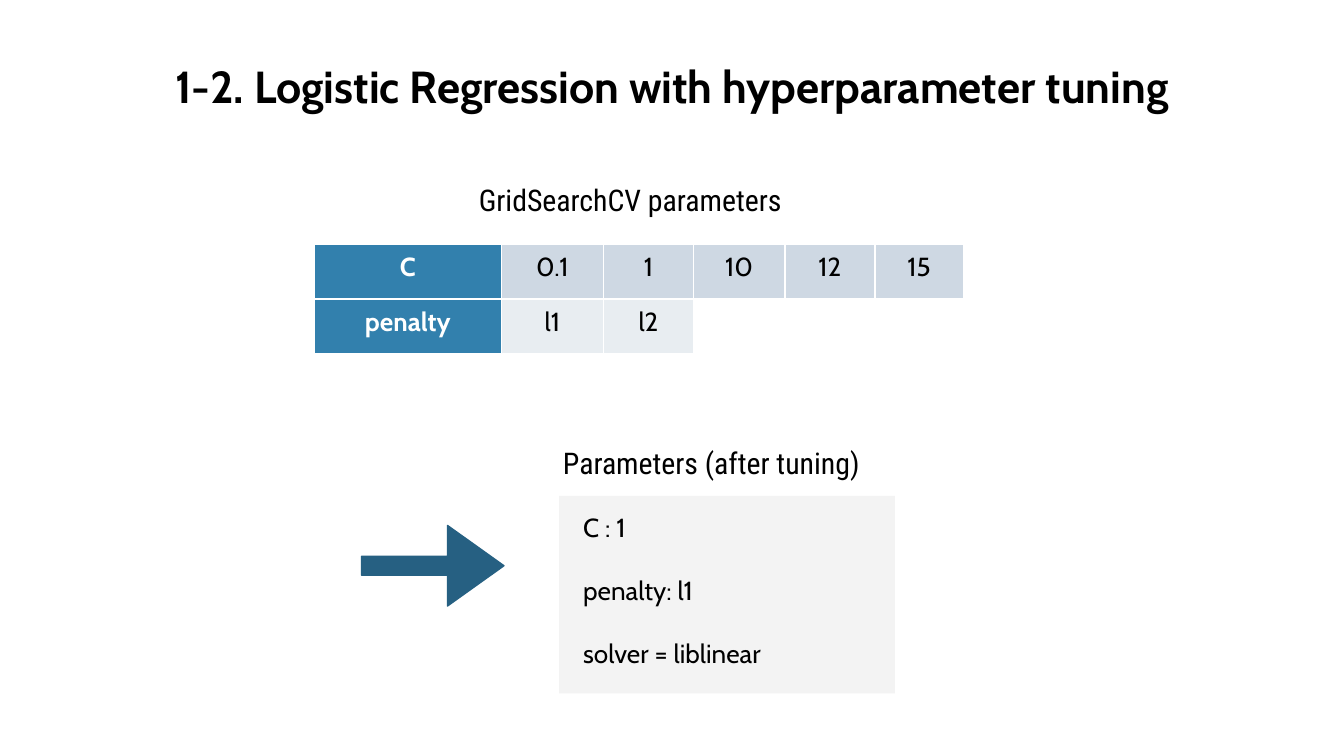
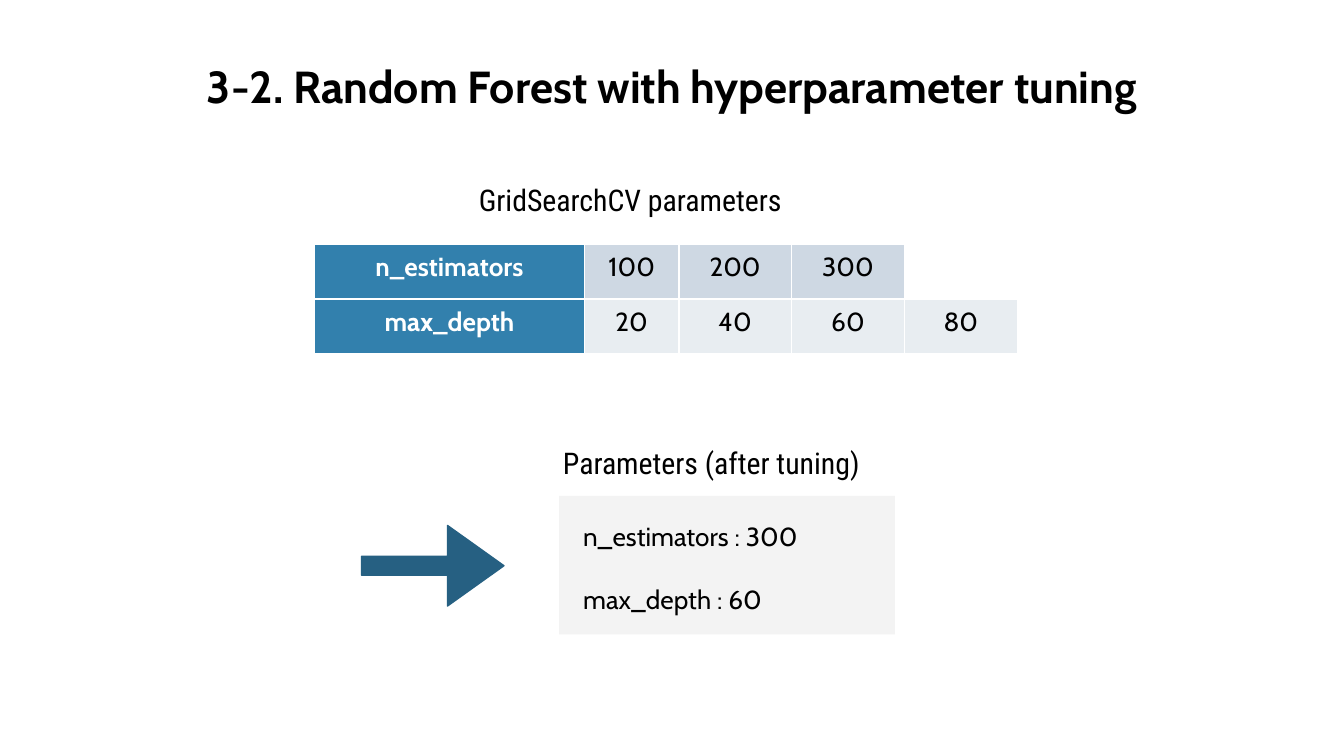
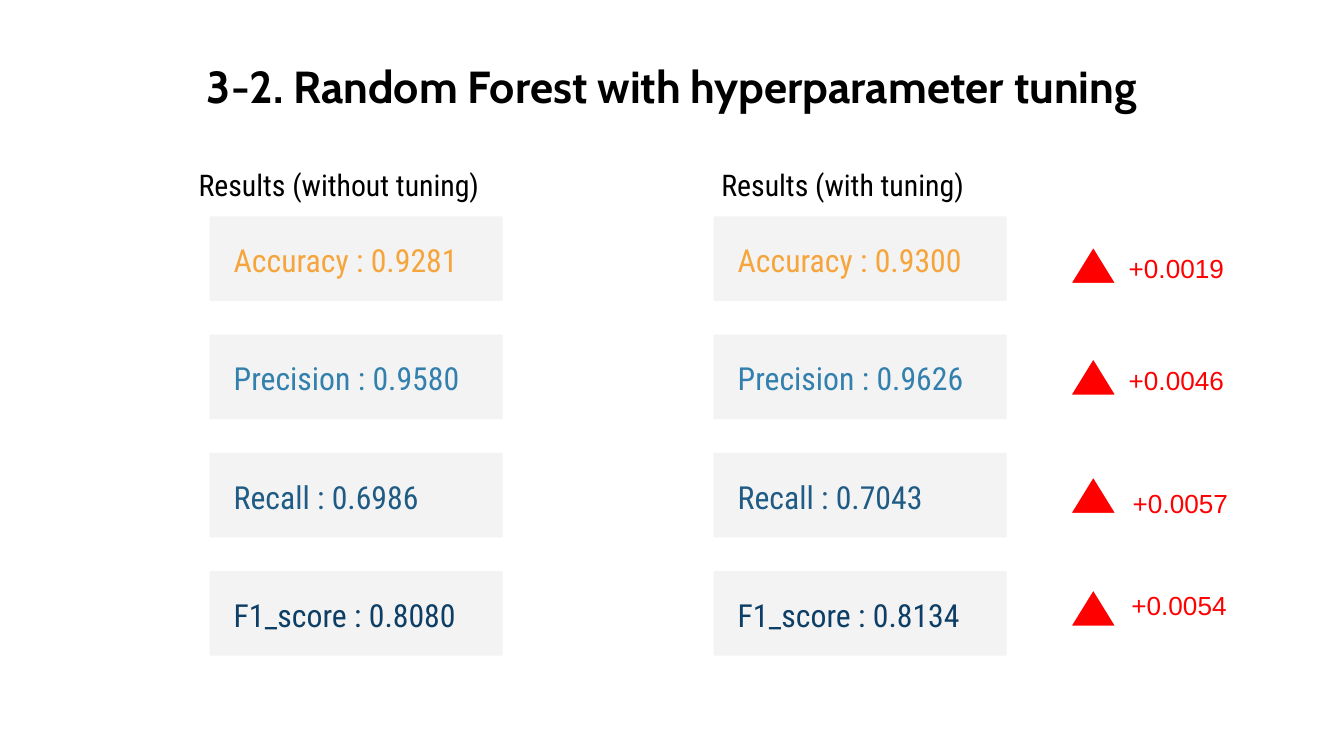
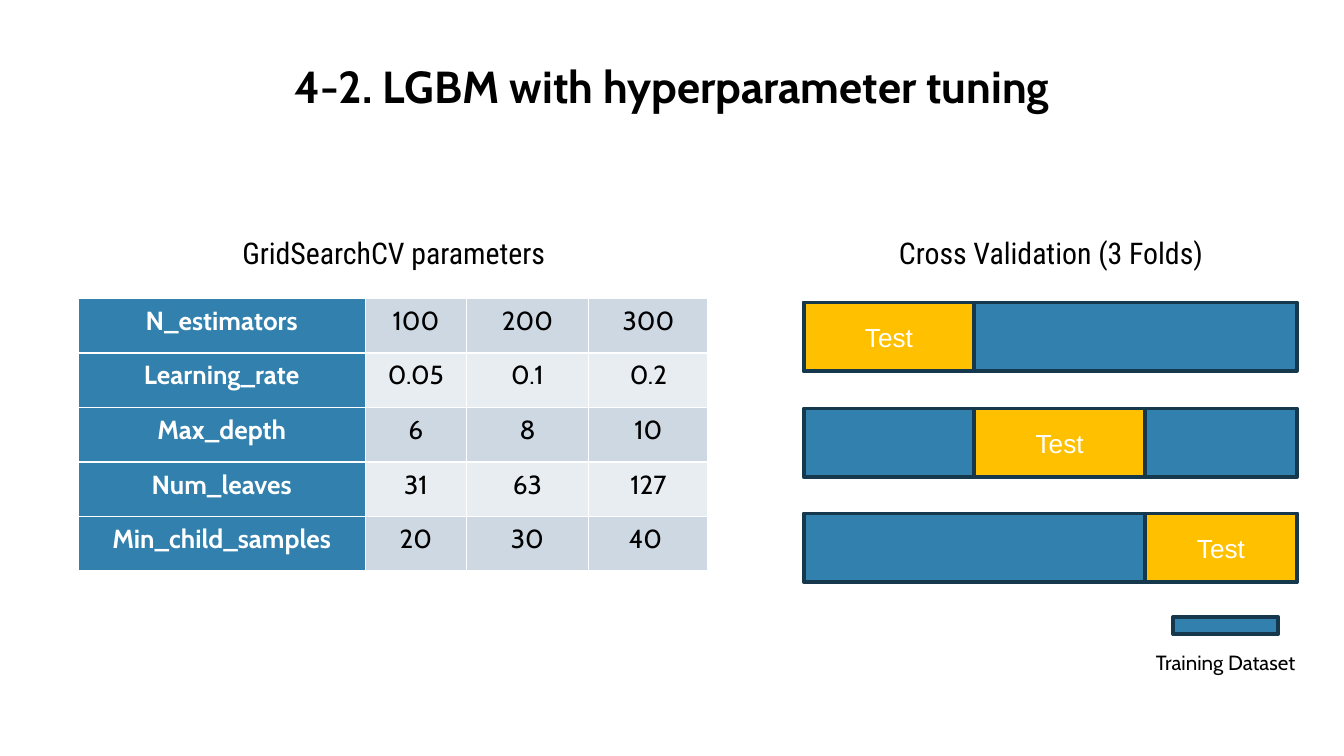
import pptx
import pptx.dml.color
import pptx.enum.shapes
import pptx.enum.text
import pptx.oxml
import pptx.util
from dataclasses import dataclass
from typing import Any, NamedTuple
from pptx.util import Inches

COLORS = {
    "black": "000000",
    "white": "FFFFFF",
    "blue": "3280AD",
    "arrow": "266082",
    "outline": "16384C",
    "panel": "F3F3F3",
    "band_dark": "CED8E3",
    "band_light": "E8EDF1",
    "orange": "F6A53C",
    "recall": "1F5B84",
    "navy": "0D3E65",
    "gain": "FF0000",
    "test": "FFC000",
}
HEADING_FONT = "Roboto Condensed"
BODY_FONT = "Cabin"
PLAIN_FONT = "Arial"
CENTER = pptx.enum.text.PP_ALIGN.CENTER
LEFT = pptx.enum.text.PP_ALIGN.LEFT
TOP = pptx.enum.text.MSO_ANCHOR.TOP
MIDDLE = pptx.enum.text.MSO_ANCHOR.MIDDLE
RECTANGLE = pptx.enum.shapes.MSO_SHAPE.RECTANGLE
TRIANGLE = pptx.enum.shapes.MSO_SHAPE.ISOSCELES_TRIANGLE


class Box(NamedTuple):
    left: float
    top: float
    width: float
    height: float

    def lengths(self) -> list[int]:
        return [Inches(value) for value in self]


@dataclass(frozen=True)
class Style:
    size: float
    font: str
    color: str = "black"
    bold: bool = False
    align: Any = LEFT
    gap: float = 0


@dataclass(frozen=True)
class ParameterGrid:
    box: Box
    widths: list[float]
    rows: list[list[str]]


@dataclass(frozen=True)
class TuningSlide:
    title: str
    grid: ParameterGrid
    panel_height: float
    text_height: float
    best: list[str]


@dataclass(frozen=True)
class Metric:
    name: str
    color: str
    before: str
    after: str
    gain: str
    triangle_top: float
    gain_box: Box


TITLE = Style(24, BODY_FONT, bold=True, align=CENTER)
HEADING = Style(16, HEADING_FONT)
CENTERED_HEADING = Style(16, HEADING_FONT, align=CENTER)
BEST = Style(14, BODY_FONT, gap=17)
CELL = Style(14, BODY_FONT, align=CENTER)
CELL_HEADER = Style(14, BODY_FONT, "white", True, CENTER)
GAIN = Style(14, PLAIN_FONT, "gain")
TEST = Style(14, PLAIN_FONT, "white", align=CENTER)
LEGEND = Style(11, BODY_FONT, align=CENTER)

TUNING_SLIDES = [
    TuningSlide(
        "1-2. Logistic Regression with hyperparameter tuning",
        ParameterGrid(
            Box(2.34, 1.82, 4.83, 0.81), [1.39, 0.76, 0.67, 0.68, 0.67, 0.66],
            [["C", "0.1", "1", "10", "12", "15"],
             ["penalty", "l1", "l2", "", "", ""]],
        ),
        1.47, 1.22,
        ["C : 1", "penalty: l1", "solver = liblinear"],
    ),
    TuningSlide(
        "3-2. Random Forest with hyperparameter tuning",
        ParameterGrid(
            Box(2.34, 1.82, 5.23, 0.81), [2.01, 0.7, 0.84, 0.84, 0.84],
            [["n_estimators", "100", "200", "300", ""],
             ["max_depth", "20", "40", "60", "80"]],
        ),
        1.03, 0.88,
        ["n_estimators : 300", "max_depth : 60"],
    ),
]

METRICS = [
    Metric("Accuracy", "orange", "0.9281", "0.9300", "+0.0019", 1.82, Box(8.3, 1.83, 1.1, 0.34)),
    Metric("Precision", "blue", "0.9580", "0.9626", "+0.0046", 2.65, Box(8.3, 2.66, 1.1, 0.34)),
    Metric("Recall", "recall", "0.6986", "0.7043", "+0.0057", 3.53, Box(8.33, 3.58, 1.04, 0.34)),
    Metric("F1_score", "navy", "0.8080", "0.8134", "+0.0054", 4.37, Box(8.32, 4.34, 1.04, 0.34)),
]

LGBM_GRID = ParameterGrid(
    Box(0.58, 2.22, 4.69, 2.03), [2.14, 0.75, 0.91, 0.89],
    [["N_estimators", "100", "200", "300"],
     ["Learning_rate", "0.05", "0.1", "0.2"],
     ["Max_depth", "6", "8", "10"],
     ["Num_leaves", "31", "63", "127"],
     ["Min_child_samples", "20", "30", "40 "]],
)


def rgb(name: str) -> pptx.dml.color.RGBColor:
    return pptx.dml.color.RGBColor.from_string(COLORS[name])


def write(tf: Any, lines: list[str], style: Style) -> None:
    for i, line in enumerate(lines):
        p = tf.paragraphs[0] if i == 0 else tf.add_paragraph()
        p.text = line
        p.alignment = style.align
        if i and style.gap:
            p.space_before = pptx.util.Pt(style.gap)
        p.font.size = pptx.util.Pt(style.size)
        p.font.name = style.font
        p.font.bold = style.bold
        p.font.color.rgb = rgb(style.color)


def add_text(s: Any, box: Box, lines: list[str], style: Style) -> None:
    tf = s.shapes.add_textbox(*box.lengths()).text_frame
    tf.word_wrap = True
    tf.auto_size = pptx.enum.text.MSO_AUTO_SIZE.SHAPE_TO_FIT_TEXT
    write(tf, lines, style)


def add_padded_text(s: Any, box: Box, lines: list[str], style: Style, anchor: Any = MIDDLE) -> None:
    tf = s.shapes.add_textbox(*box.lengths()).text_frame
    tf.word_wrap = True
    tf.margin_top = tf.margin_bottom = Inches(0.1)
    tf.vertical_anchor = anchor
    write(tf, lines, style)


def paint(sp: Any, fill: str, line: str = "", width: float = 2) -> None:
    sp.shadow.inherit = False
    sp.fill.solid()
    sp.fill.fore_color.rgb = rgb(fill)
    if line:
        sp.line.color.rgb = rgb(line)
        sp.line.width = pptx.util.Pt(width)
    else:
        sp.line.fill.background()


def add_shape(s: Any, kind: Any, box: Box, fill: str, line: str = "") -> Any:
    sp = s.shapes.add_shape(kind, *box.lengths())
    paint(sp, fill, line)
    return sp


def add_borders(cell: Any) -> None:
    tc_pr = cell._tc.get_or_add_tcPr()
    for side in ("lnL", "lnR", "lnT", "lnB"):
        tc_pr.append(pptx.oxml.parse_xml(
            f'<a:{side} xmlns:a="http://schemas.openxmlformats.org/drawingml/2006/main" '
            f'w="12700"><a:solidFill><a:srgbClr val="{COLORS["white"]}"/>'
            f"</a:solidFill></a:{side}>"
        ))


def cell_fill(row: int, column: int, text: str) -> str:
    if not text:
        return "white"
    if column == 0:
        return "blue"
    return "band_light" if row % 2 else "band_dark"


def add_grid(s: Any, grid: ParameterGrid) -> None:
    table = s.shapes.add_table(len(grid.rows), len(grid.widths), *grid.box.lengths()).table
    table.first_row = table.horz_banding = False
    for column, width in zip(table.columns, grid.widths):
        column.width = Inches(width)
    for i, row in enumerate(grid.rows):
        table.rows[i].height = Inches(grid.box.height / len(grid.rows))
        for j, text in enumerate(row):
            cell = table.cell(i, j)
            add_borders(cell)
            cell.fill.solid()
            cell.fill.fore_color.rgb = rgb(cell_fill(i, j, text))
            write(cell.text_frame, [text], CELL if j else CELL_HEADER)


def add_arrow(s: Any) -> None:
    points = [(3.33, 4.14), (2.69, 4.14), (2.69, 4.28), (3.33, 4.28), (3.33, 4.51), (3.75, 4.21)]
    builder = s.shapes.build_freeform(Inches(3.33), Inches(3.91))
    builder.add_line_segments([(Inches(x), Inches(y)) for x, y in points])
    paint(builder.convert_to_shape(), "arrow", "arrow", 0.75)


def add_slide(prs: Any, title: str) -> Any:
    s = prs.slides.add_slide(prs.slide_layouts[6])
    add_padded_text(s, Box(0.2, 0.34, 9.6, 0.63), [title], TITLE, TOP)
    return s


def build_tuning(prs: Any, tuning: TuningSlide) -> None:
    s = add_slide(prs, tuning.title)
    add_text(s, Box(2.91, 1.3, 3.56, 0.37), ["GridSearchCV parameters"], CENTERED_HEADING)
    add_grid(s, tuning.grid)
    add_shape(s, RECTANGLE, Box(4.16, 3.69, 2.5, tuning.panel_height), "panel")
    add_text(s, Box(4.09, 3.26, 2.65, 0.37), ["Parameters (after tuning)"], HEADING)
    add_padded_text(s, Box(4.24, 3.78, 2.22, tuning.text_height), tuning.best, BEST)
    add_arrow(s)


def add_score(s: Any, left: float, top: float, metric: Metric, value: str) -> None:
    add_shape(s, RECTANGLE, Box(left, top, 2.18, 0.63), "panel")
    add_padded_text(s, Box(left + 0.08, top + 0.09, 2.02, 0.47), [f"{metric.name} : {value}"],
                    Style(17, HEADING_FONT, metric.color))


def build_results(prs: Any) -> None:
    s = add_slide(prs, TUNING_SLIDES[1].title)
    add_text(s, Box(1.38, 1.19, 2.53, 0.37), ["Results (without tuning)"], HEADING)
    add_text(s, Box(5.27, 1.19, 2.26, 0.37), ["Results (with tuning)"], HEADING)
    for i, metric in enumerate(METRICS):
        top = 1.61 + 0.88 * i
        add_score(s, 1.56, top, metric, metric.before)
        add_score(s, 5.31, top, metric, metric.after)
        add_shape(s, TRIANGLE, Box(7.95, metric.triangle_top, 0.37, 0.3), "gain", "white")
        add_text(s, metric.gain_box, [metric.gain], GAIN)


def build_cross_validation(prs: Any) -> None:
    s = add_slide(prs, "4-2. LGBM with hyperparameter tuning")
    add_text(s, Box(1.15, 1.7, 3.56, 0.37), ["GridSearchCV parameters"], CENTERED_HEADING)
    add_grid(s, LGBM_GRID)
    add_text(s, Box(6.04, 1.7, 3.56, 0.37), ["Cross Validation (3 Folds)"], CENTERED_HEADING)
    fold_tops = [2.25, 3.04, 3.82]
    for top in fold_tops:
        add_shape(s, RECTANGLE, Box(5.98, top, 3.67, 0.51), "blue", "outline")
    for fold, (top, test_width) in enumerate(zip(fold_tops, [1.27, 1.27, 1.13])):
        test_box = Box(5.98 + 1.27 * fold, top, test_width, 0.51)
        tf = add_shape(s, RECTANGLE, test_box, "test", "outline").text_frame
        tf.vertical_anchor = MIDDLE
        write(tf, ["Test"], TEST)
    add_shape(s, RECTANGLE, Box(8.73, 4.59, 0.78, 0.13), "blue", "outline")
    add_text(s, Box(8.36, 4.79, 1.52, 0.29), ["Training Dataset"], LEGEND)


def main() -> None:
    prs = pptx.Presentation()
    prs.slide_width = Inches(10)
    prs.slide_height = Inches(10 * 9 / 16)
    for tuning in TUNING_SLIDES:
        build_tuning(prs, tuning)
    build_results(prs)
    build_cross_validation(prs)
    prs.save("out.pptx")


if __name__ == "__main__":
    main()
